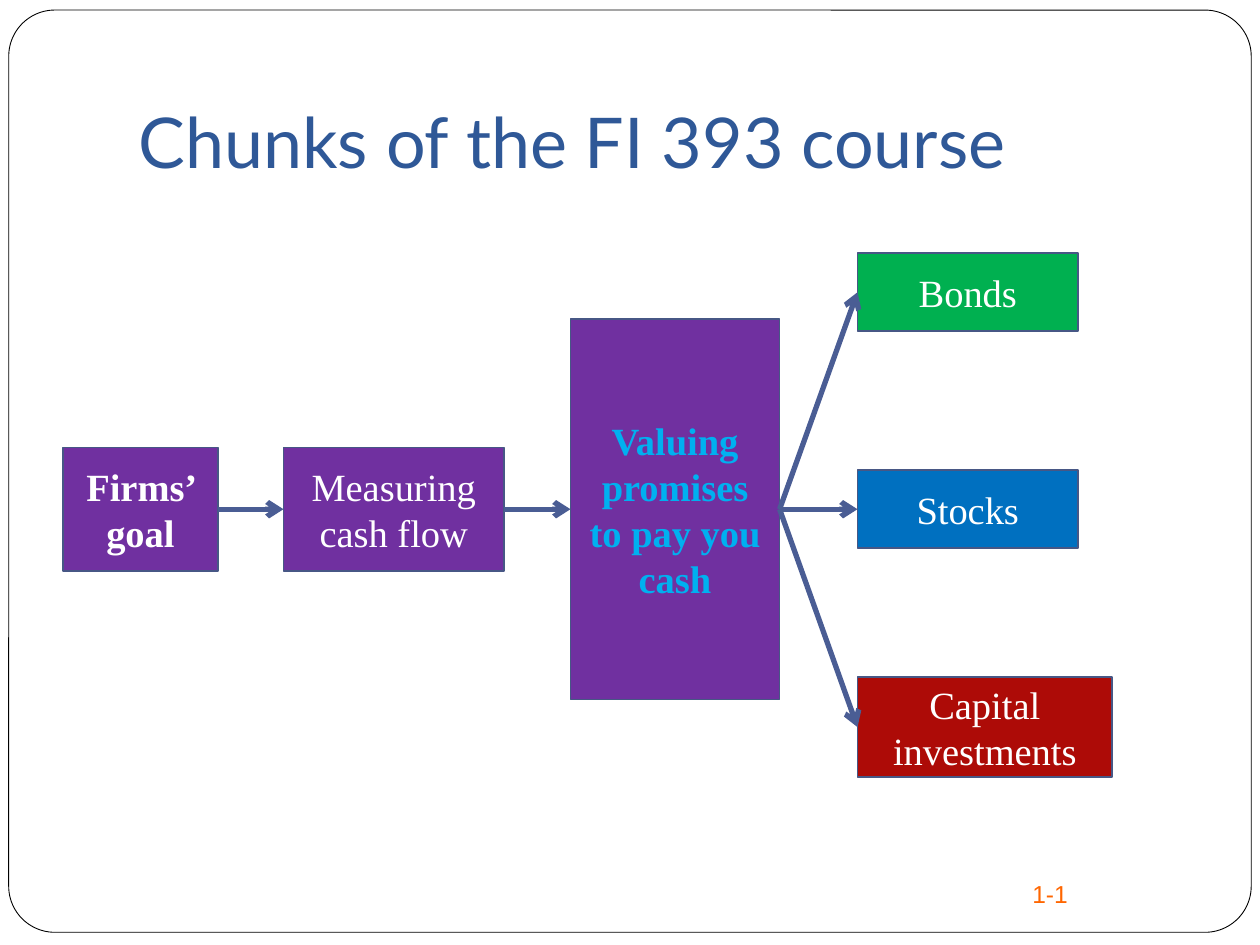
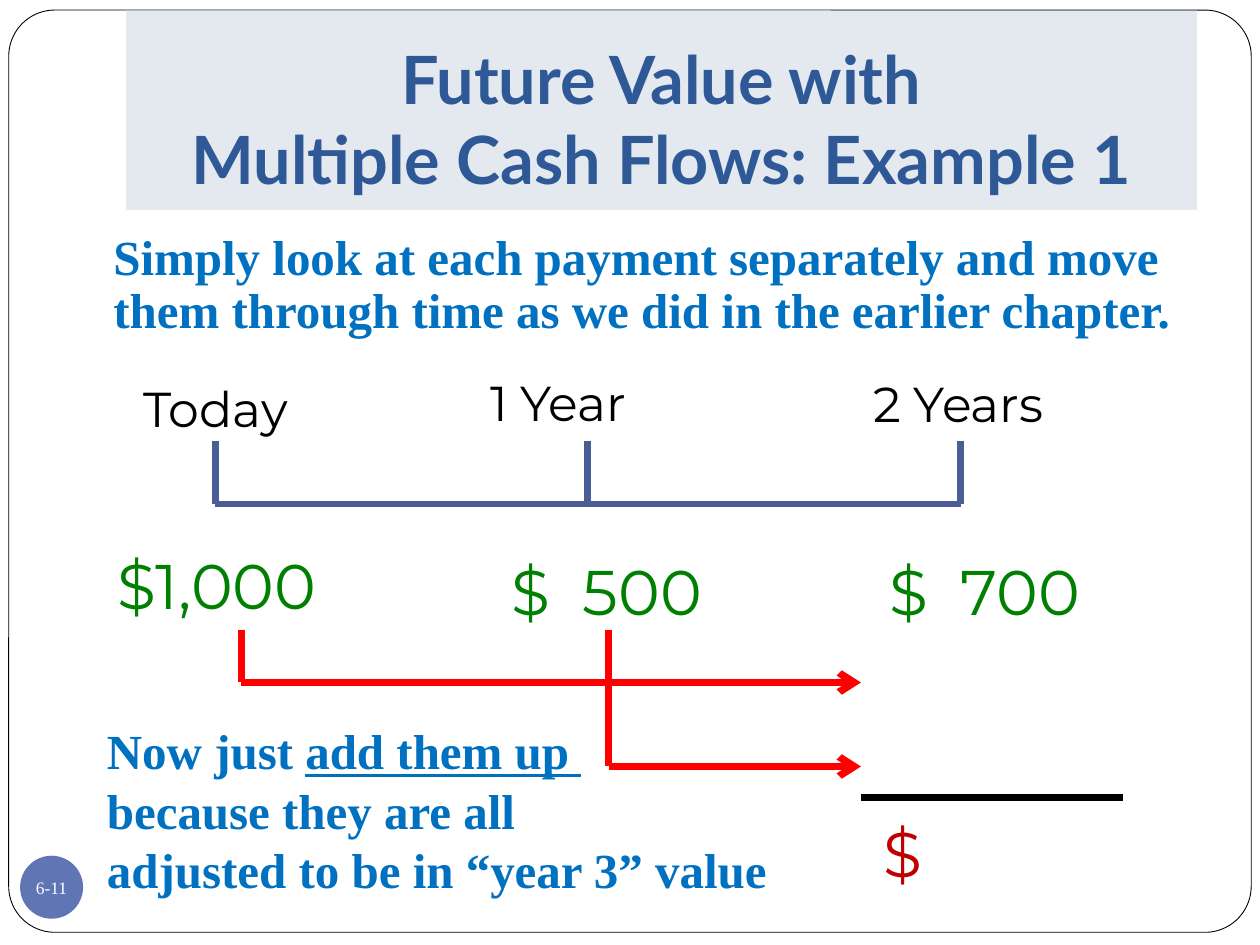
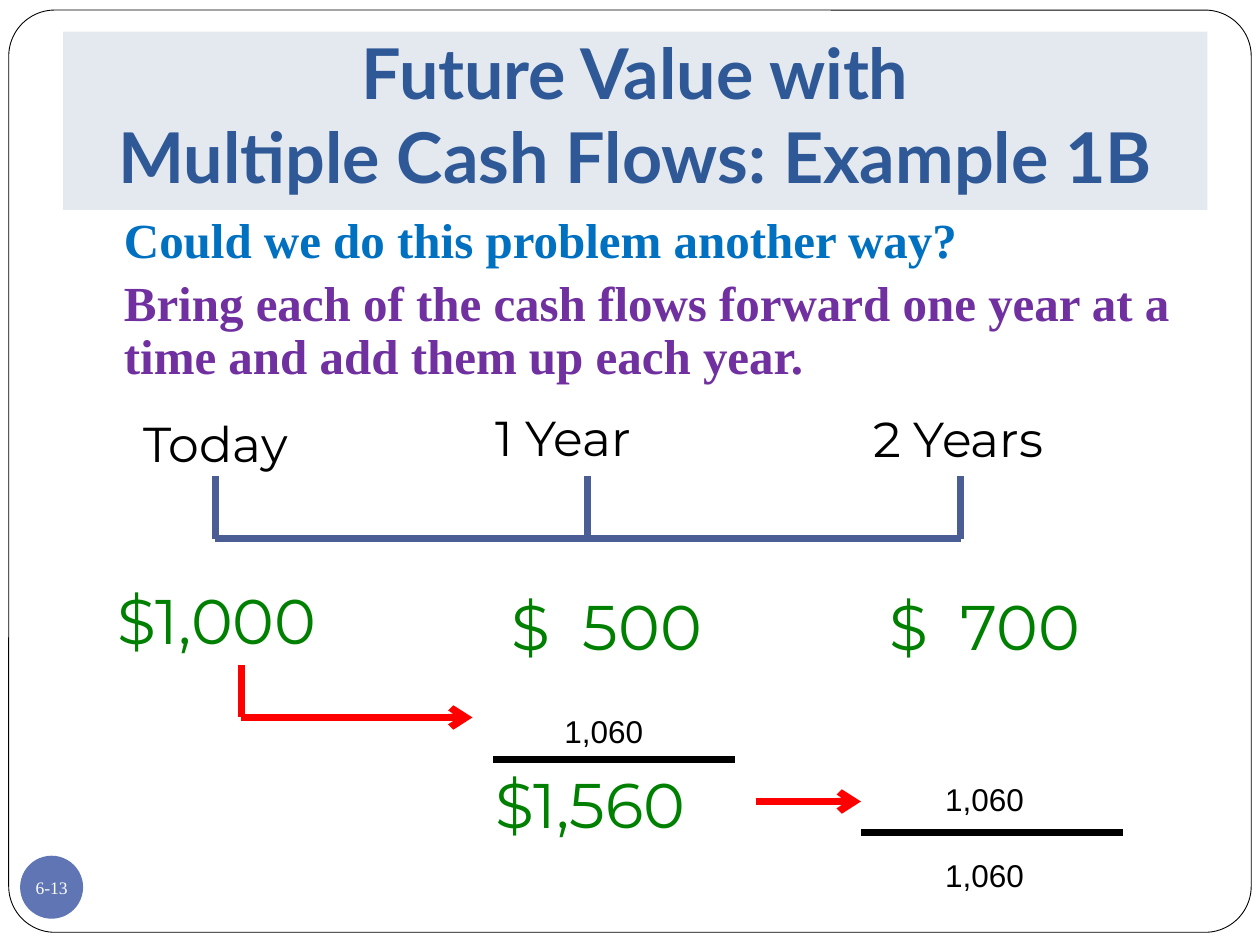
import lxml.etree
import pptx
import pptx.dml.color
import pptx.enum.shapes
import pptx.enum.text
import pptx.oxml.ns
import pptx.util

Pt = pptx.util.Pt
RGBColor = pptx.dml.color.RGBColor
qn = pptx.oxml.ns.qn
KIND = pptx.enum.shapes.MSO_SHAPE
LEFT = pptx.enum.text.PP_ALIGN.LEFT
MID = pptx.enum.text.PP_ALIGN.CENTER

WHITE = RGBColor(0xFF, 0xFF, 0xFF)
BLACK = RGBColor(0, 0, 0)
NAVY = RGBColor(0x2F, 0x58, 0x97)
BAND = RGBColor(0xE4, 0xE9, 0xEF)
SLATE = RGBColor(0x4A, 0x5D, 0x94)
EDGE = RGBColor(0x47, 0x57, 0x85)
BADGE = RGBColor(0x60, 0x76, 0xB4)
ORANGE = RGBColor(0xFF, 0x66, 0x00)
PURPLE = RGBColor(0x70, 0x30, 0xA0)
SKY = RGBColor(0x00, 0xB0, 0xF0)
BLUE = RGBColor(0x00, 0x70, 0xC0)
LEAF = RGBColor(0x00, 0xB0, 0x50)
GREEN = RGBColor(0x00, 0x80, 0x00)
BRICK = RGBColor(0xAD, 0x0B, 0x07)
CRIMSON = RGBColor(0xC0, 0x00, 0x00)
RED = RGBColor(0xFF, 0x00, 0x00)

HEAD = "Lato"
SERIF = "Times New Roman"
SANS = "Arial"
ROUND = "Montserrat"


def write(shape, place, words, font, size, color, bold=False, align=LEFT):
    """Place a shape and fill it with text in one style."""
    shape.left, shape.top, shape.width, shape.height = map(Pt, place)
    frame = shape.text_frame
    frame.word_wrap = True
    frame.auto_size = pptx.enum.text.MSO_AUTO_SIZE.NONE
    frame.text = words
    for par in frame.paragraphs:
        par.alignment = align
        for run in par.runs:
            run.font.name = font
            run.font.size = Pt(size)
            run.font.bold = bold
            run.font.color.rgb = color
    return frame


def link(slide, ends, color, width=4, arrow=False):
    """Draw a straight line, with an arrowhead at its end if asked."""
    line = slide.shapes.add_connector(
        pptx.enum.shapes.MSO_CONNECTOR.STRAIGHT, *map(Pt, ends))
    line.line.color.rgb = color
    line.line.width = Pt(width)
    props = line.element.spPr
    if arrow:
        lxml.etree.SubElement(props.find(qn("a:ln")), qn("a:tailEnd"), type="arrow")
    lxml.etree.SubElement(props, qn("a:effectLst"))
    return line


deck = pptx.Presentation()
deck.slide_width = Pt(720)
deck.slide_height = Pt(540)

# Course map
course = deck.slides.add_slide(deck.slide_layouts[5])

# The rounded frame belongs to the master, behind everything
frame = course.shapes.add_shape(
    KIND.ROUNDED_RECTANGLE, Pt(5), Pt(5.75), Pt(710), Pt(527))
frame.adjustments[0] = 0.05
frame.shadow.inherit = False
frame.fill.solid()
frame.fill.fore_color.rgb = WHITE
frame.line.color.rgb = BLACK
frame.line.width = Pt(0.5)
frame.element.nvSpPr.cNvPr.set("id", "20")
deck.slide_master.shapes.element.insert(2, frame.element)

title = write(course.shapes.title, (72, 21.5, 612, 90),
              "Chunks of the FI 393 course", HEAD, 40, NAVY)
title.vertical_anchor = pptx.enum.text.MSO_ANCHOR.BOTTOM
title.margin_bottom = Pt(7.2)

page = write(course.shapes.add_textbox(0, 0, 0, 0), (516, 492, 168, 37),
             "1-1", SANS, 14, ORANGE, align=MID)
page.vertical_anchor = pptx.enum.text.MSO_ANCHOR.MIDDLE

# Each box: left, middle, width, height, text, fill, text colour, bold
boxes = []
for left, middle, width, height, words, fill, ink, bold in (
        (36, 291, 88.5, 70.5, "Firms’ goal", PURPLE, WHITE, True),
        (162, 291, 126, 70.5, "Measuring cash flow", PURPLE, WHITE, False),
        (326, 291, 119.5, 217.5, "Valuing promises to pay you cash", PURPLE, SKY, True),
        (490, 167, 126, 44.5, "Bonds", LEAF, WHITE, False),
        (490, 291, 126, 44.5, "Stocks", BLUE, WHITE, False),
        (490, 415.5, 145.5, 57.5, "Capital investments", BRICK, WHITE, False)):
    box = course.shapes.add_shape(KIND.RECTANGLE, 0, 0, 0, 0)
    box.shadow.inherit = False
    box.fill.solid()
    box.fill.fore_color.rgb = fill
    box.line.color.rgb = EDGE
    box.line.width = Pt(1)
    write(box, (left, middle - height / 2, width, height), words,
          SERIF, 22, ink, bold, MID)
    boxes.append(box)

for start, end in ((0, 1), (1, 2), (2, 3), (2, 5), (2, 4)):
    arrow = link(course, (0, 0, 0, 0), SLATE, 3, True)
    arrow.begin_connect(boxes[start], 3)
    arrow.end_connect(boxes[end], 1)

# The two examples share a timeline, set lower by "drop" on the second
pair = []
for words, size, band, number, place, lines, inks, drop, year in (
        ("Future Value with\nMultiple Cash Flows: Example 1", 38,
         (72, 6, 612, 114), "6-11", (36, 129.5, 666, 356.5),
         "Simply look at each payment separately and move them through time "
         "as we did in the earlier chapter.", (BLUE,), 0, 273),
        ("Future Value with\nMultiple Cash Flows: Example 1B", 40,
         (36, 18, 654, 102), "6-13", (42, 120, 666, 356.5),
         "Could we do this problem another way?\n"
         "Bring each of the cash flows forward one year at a time and add "
         "them up each year.", (BLUE, PURPLE), 20, 276)):
    slide = deck.slides.add_slide(deck.slide_layouts[1])
    pair.append(slide)

    head = slide.shapes.title
    head.fill.solid()
    head.fill.fore_color.rgb = BAND
    title = write(head, band, words, HEAD, size, NAVY, True, MID)
    title.vertical_anchor = pptx.enum.text.MSO_ANCHOR.BOTTOM
    title.margin_bottom = Pt(7.2)

    body = write(slide.placeholders[1], place, lines, SERIF, 28, BLUE, True)
    for par, ink in zip(body.paragraphs, inks):
        par.line_spacing = 0.9
        par.space_before = Pt(5.8)
        par.runs[0].font.color.rgb = ink
        props = par._p.pPr
        props.set("marL", str(Pt(21.6)))
        props.set("indent", "0")
        lxml.etree.SubElement(props, qn("a:buNone"))

    badge = slide.shapes.add_shape(KIND.OVAL, 0, 0, 0, 0)
    badge.shadow.inherit = False
    badge.fill.solid()
    badge.fill.fore_color.rgb = BADGE
    badge.line.fill.background()
    page = write(badge, (11.5, 489, 36, 36), number, SERIF, 10, WHITE, align=MID)
    page.word_wrap = False
    page.margin_left = page.margin_right = page.margin_top = page.margin_bottom = 0

    base = 288 + drop
    link(slide, (123, base, 549, base), SLATE)
    for step in range(3):
        tick = 123 + 213 * step
        link(slide, (tick, base - 36, tick, base), SLATE)

    for left, top, width, words in (
            (75, 213, 108, "Today"),
            (year, 209.5, 126, "1 Year"),
            (492, 210, 138, "2 Years")):
        write(slide.shapes.add_textbox(0, 0, 0, 0), (left, top + drop, width, 41),
              words, ROUND, 28, BLACK)
    for left, top, width, words in (
            (60, 309, 159, "$1,000"),
            (285, 312, 138, "$  500"),
            (501, 312, 159, "$  700")):
        write(slide.shapes.add_textbox(0, 0, 0, 0), (left, top + drop, width, 51),
              words, ROUND, 36, GREEN)

    link(slide, (138, 360 + drop, 138, 390 + drop), RED)
    link(slide, (492, 456 + drop, 642, 456 + drop), BLACK)

first, second = pair

# Example 1: carry both payments to the last year
link(first, (138, 390, 492, 390), RED, arrow=True)
link(first, (348, 360, 348, 438), RED)
link(first, (348, 438, 492, 438), RED, arrow=True)
note = write(first.shapes.add_textbox(0, 0, 0, 0), (54, 408, 486, 109.5),
             "Now just \nbecause they are all\nadjusted to be in “year 3” value",
             SERIF, 28, BLUE, True)
for par in note.paragraphs:
    par.line_spacing = Pt(34)
run = note.paragraphs[0].add_run()
run.text = "add them up "
run.font.name = SERIF
run.font.size = Pt(28)
run.font.bold = run.font.underline = True
run.font.color.rgb = BLUE
write(first.shapes.add_textbox(0, 0, 0, 0), (498, 462, 174, 51),
      "$", ROUND, 36, CRIMSON)

# Example 1B: carry the sum forward year by year
link(second, (138, 410, 270, 410), RED, arrow=True)
link(second, (432, 458, 492, 458), RED, arrow=True)
link(second, (420, 434, 282, 434), BLACK)
write(second.shapes.add_textbox(0, 0, 0, 0), (276, 434, 174, 51),
      "$1,560", ROUND, 36, GREEN)
for left, top in ((315.5, 403.5), (533, 442), (533, 485.5)):
    write(second.shapes.add_textbox(0, 0, 0, 0), (left, top, 69, 29),
          "1,060", SANS, 18, BLACK)

deck.save("out.pptx")
